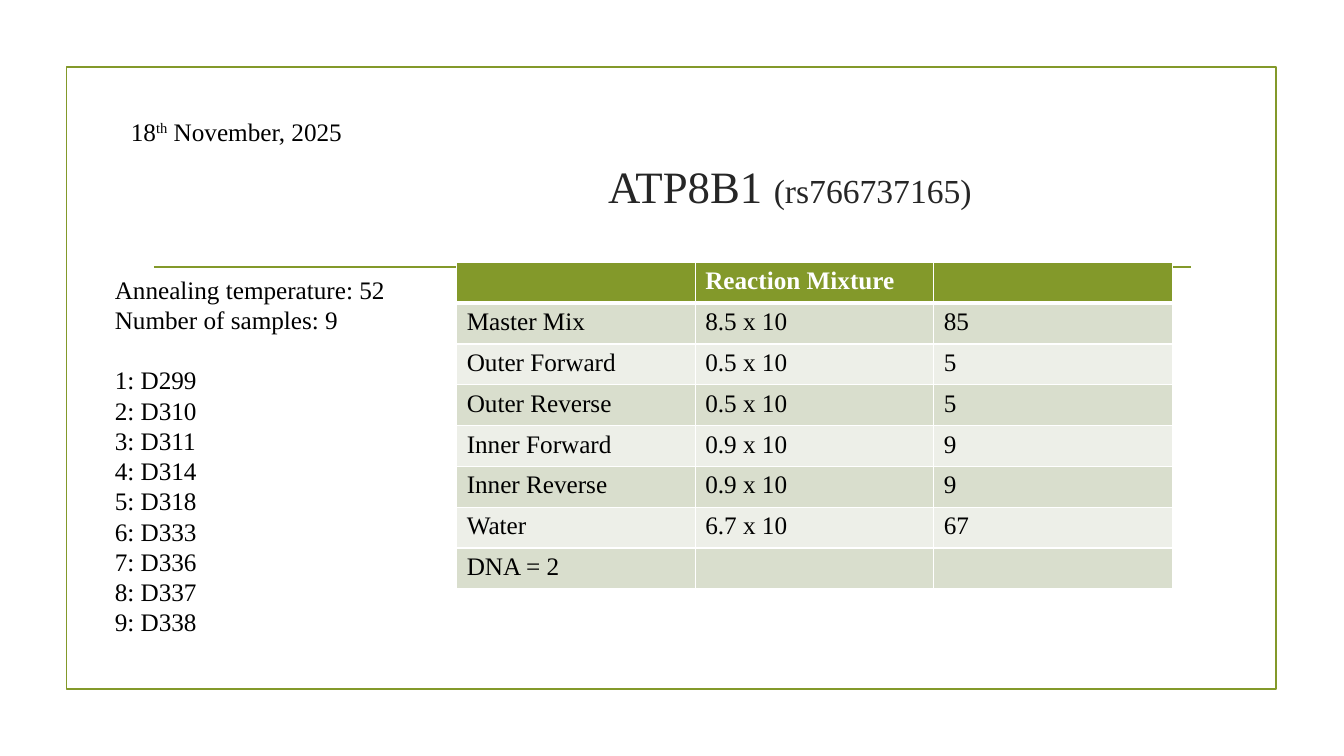
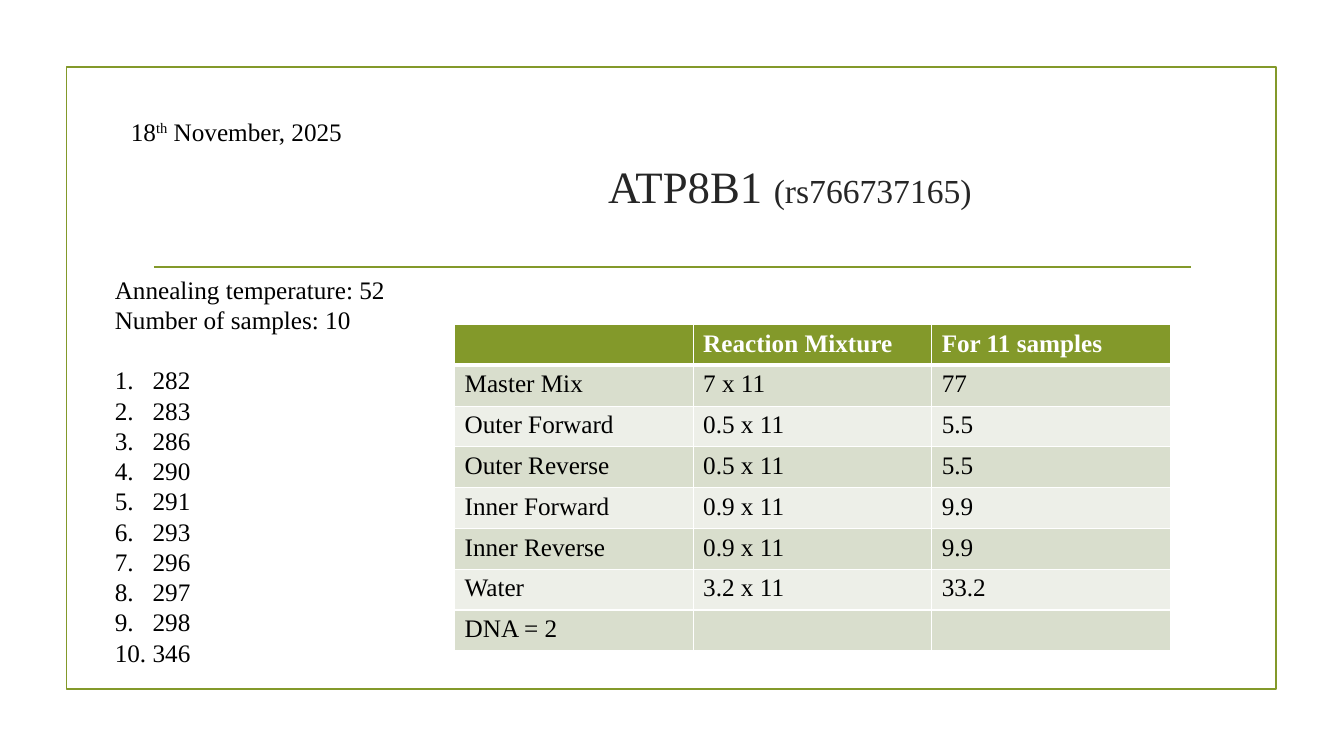
from dataclasses import dataclass

from lxml import etree
from pptx import Presentation
from pptx.dml.color import RGBColor
from pptx.enum import shapes, text
from pptx.oxml import ns
from pptx.util import Pt

FONT = "Times New Roman"
OLIVE, WHITE, BLACK, CHARCOAL = "83992A", "FFFFFF", "000000", "262626"
BANDS = ("D9DECD", "EDEFE8")
BODY_SIZE = 18
LINE_PITCH = 21.6
NUMBER_INDENT = 27
COLUMN_WIDTH = 170.4
ROW_HEIGHT = 29.16
REAGENTS = ("Master Mix", "Outer Forward", "Outer Reverse",
            "Inner Forward", "Inner Reverse", "Water")


@dataclass(frozen=True)
class Assay:
    samples: tuple[str, ...]
    numbered: bool
    reactions: int
    doses: tuple[str, ...]
    totals: tuple[str, ...]
    totals_heading: str
    table_left: float
    table_top: float


ASSAYS = (
    Assay(
        samples=("1: D299", "2: D310", "3: D311", "4: D314", "5: D318",
                 "6: D333", "7: D336", "8: D337", "9: D338"),
        numbered=False,
        reactions=10,
        doses=("8.5", "0.5", "0.5", "0.9", "0.9", "6.7"),
        totals=("85", "5", "5", "9", "9", "67"),
        totals_heading="",
        table_left=326.2,
        table_top=187.4,
    ),
    Assay(
        samples=("282", "283", "286", "290", "291",
                 "293", "296", "297", "298", "346"),
        numbered=True,
        reactions=11,
        doses=("7", "0.5", "0.5", "0.9", "0.9", "3.2"),
        totals=("77", "5.5", "5.5", "9.9", "9.9", "33.2"),
        totals_heading="For 11 samples",
        table_left=324.7,
        table_top=231.8,
    ),
)


def rgb(value: str) -> RGBColor:
    return RGBColor.from_string(value)


def write(paragraph, words: str, *, size: float = BODY_SIZE, color: str = BLACK,
          bold: bool = False, superscript: bool = False) -> None:
    run = paragraph.add_run()
    run.text = words
    run.font.name = FONT
    run.font.size = Pt(size)
    run.font.bold = bold
    run.font.color.rgb = rgb(color)
    if superscript:
        run._r.get_or_add_rPr().set("baseline", "30000")


def add_text_frame(slide, left: float, top: float, width: float, height: float):
    frame = slide.shapes.add_textbox(Pt(left), Pt(top), Pt(width), Pt(height)).text_frame
    frame.word_wrap = True
    return frame


def draw_border(slide) -> None:
    border = slide.shapes.add_shape(
        shapes.MSO_SHAPE.RECTANGLE, Pt(47.5), Pt(48), Pt(864), Pt(444.4))
    border.shadow.inherit = False
    border.fill.background()
    rule = slide.shapes.add_connector(
        shapes.MSO_CONNECTOR.STRAIGHT, Pt(110), Pt(190.8), Pt(850.5), Pt(190.8))
    etree.SubElement(rule.element.spPr, ns.qn("a:effectLst"))
    for outline in (border.line, rule.line):
        outline.color.rgb = rgb(OLIVE)
        outline.width = Pt(1.25)


def draw_heading(slide) -> None:
    title = slide.shapes.title
    title.left, title.top, title.width, title.height = Pt(401.8), Pt(108), Pt(324.7), Pt(49.7)
    frame = title.text_frame
    frame.auto_size = text.MSO_AUTO_SIZE.NONE
    frame.vertical_anchor = text.MSO_ANCHOR.MIDDLE
    heading = frame.paragraphs[0]
    heading.alignment = text.PP_ALIGN.CENTER
    write(heading, "ATP8B1 ", size=32, color=CHARCOAL)
    write(heading, "(rs766737165)", size=24, color=CHARCOAL)

    date = add_text_frame(slide, 86.4, 79.2, 204.5, 29).paragraphs[0]
    write(date, "18")
    write(date, "th", superscript=True)
    write(date, " November, 2025")


def number(paragraph) -> None:
    properties = paragraph._p.get_or_add_pPr()
    properties.set("marL", str(Pt(NUMBER_INDENT)))
    properties.set("indent", str(-Pt(NUMBER_INDENT)))
    etree.SubElement(properties, ns.qn("a:buAutoNum"), type="arabicPeriod")


def draw_samples(slide, assay: Assay) -> None:
    conditions = ("Annealing temperature: 52", f"Number of samples: {len(assay.samples)}")
    lines = conditions + assay.samples
    height = (len(lines) + 1) * LINE_PITCH + 7.2
    frame = add_text_frame(slide, 74.9, 192.2, 241.2, height)
    for index, line in enumerate(lines):
        paragraph = frame.add_paragraph() if index else frame.paragraphs[0]
        if assay.numbered and index >= len(conditions):
            number(paragraph)
        paragraph.line_spacing = Pt(LINE_PITCH)
        if index == len(conditions):
            paragraph.space_before = Pt(LINE_PITCH)
        write(paragraph, line)


def add_cell_borders(cell, top: float, bottom: float) -> None:
    properties = cell._tc.get_or_add_tcPr()
    for side, width in (("L", 1), ("R", 1), ("T", top), ("B", bottom)):
        edge = etree.SubElement(properties, ns.qn(f"a:ln{side}"), w=str(Pt(width)))
        fill = etree.SubElement(edge, ns.qn("a:solidFill"))
        etree.SubElement(fill, ns.qn("a:srgbClr"), val=WHITE)


def draw_mixture(slide, assay: Assay) -> None:
    rows = [("", "Reaction Mixture", assay.totals_heading)]
    rows += [(reagent, f"{dose} x {assay.reactions}", total)
             for reagent, dose, total in zip(REAGENTS, assay.doses, assay.totals)]
    rows.append(("DNA = 2", "", ""))
    columns = len(rows[0])
    mixture = slide.shapes.add_table(
        len(rows), columns, Pt(assay.table_left), Pt(assay.table_top),
        Pt(columns * COLUMN_WIDTH), Pt(len(rows) * ROW_HEIGHT)).table
    for row_index, row in enumerate(rows):
        is_header = row_index == 0
        for column_index, words in enumerate(row):
            cell = mixture.cell(row_index, column_index)
            add_cell_borders(cell, 3 if row_index == 1 else 1, 3 if is_header else 1)
            cell.fill.solid()
            cell.fill.fore_color.rgb = rgb(OLIVE if is_header else BANDS[(row_index - 1) % 2])
            if words:
                write(cell.text_frame.paragraphs[0], words,
                      color=WHITE if is_header else BLACK, bold=is_header)


def main() -> None:
    deck = Presentation()
    deck.slide_width, deck.slide_height = Pt(960), Pt(540)
    title_only = deck.slide_layouts[5]
    for assay in ASSAYS:
        slide = deck.slides.add_slide(title_only)
        draw_border(slide)
        draw_heading(slide)
        draw_samples(slide, assay)
        draw_mixture(slide, assay)
    deck.save("out.pptx")


if __name__ == "__main__":
    main()
